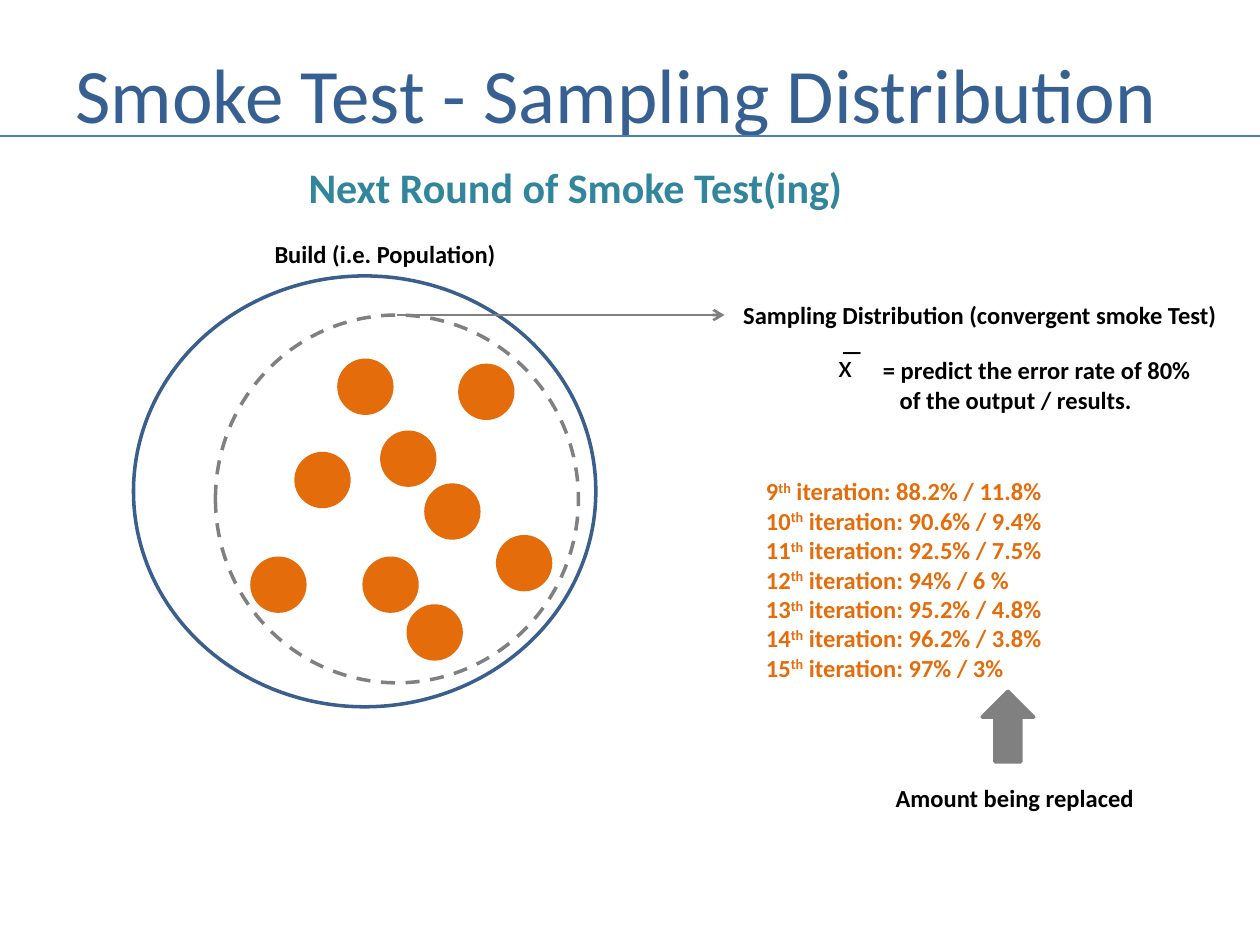
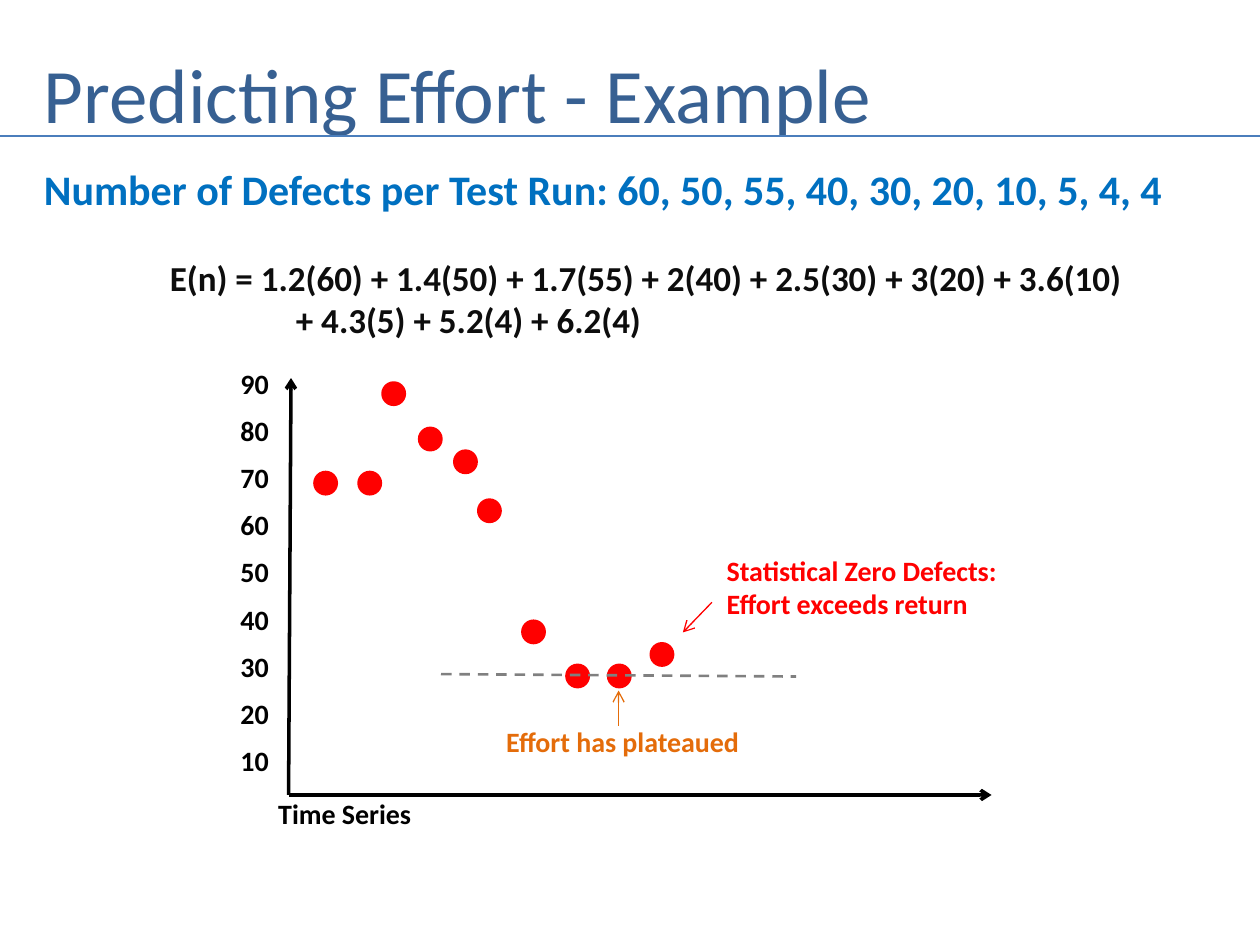
"""Build two slides on smoke test sampling and effort prediction."""
from dataclasses import dataclass
from typing import Optional

from lxml.etree import SubElement
from pptx import Presentation
from pptx.dml.color import RGBColor
from pptx.enum.dml import MSO_LINE
from pptx.enum.shapes import MSO_CONNECTOR, MSO_SHAPE
from pptx.enum.text import MSO_ANCHOR, MSO_AUTO_SIZE
from pptx.oxml.ns import qn
from pptx.slide import Slide
from pptx.util import Pt

COLORS = {
    "title": "376092", "rule": "4B7EBC", "build": "3A5F8C", "teal": "31859C",
    "blue": "0070C0", "orange": "E46C0A", "red": "FF0000", "gray": "808080",
    "black": "000000", "ink": "0D0D0D",
}
FONT = "Calibri"


@dataclass(frozen=True)
class Para:
    text: str
    size: float = 14
    color: str = "black"
    bold: bool = True
    indent: float = 0
    before: float = 0


@dataclass(frozen=True)
class Label:
    left: float
    top: float
    width: float
    height: float
    paras: tuple[Para, ...]
    wrap: bool = False
    middle: bool = False


@dataclass(frozen=True)
class Form:
    left: float
    top: float
    width: float
    height: float
    line: str
    fill: Optional[str] = None
    dashed: bool = False
    kind: MSO_SHAPE = MSO_SHAPE.OVAL


@dataclass(frozen=True)
class Line:
    x1: float
    y1: float
    x2: float
    y2: float
    color: str
    width: float = 1.5
    arrow: bool = False
    dashed: bool = False


def rgb(name: str) -> RGBColor:
    return RGBColor.from_string(COLORS[name])


def draw_label(s: Slide, label: Label) -> None:
    sp = s.shapes.add_textbox(Pt(label.left), Pt(label.top), Pt(label.width), Pt(label.height))
    tf = sp.text_frame
    tf.word_wrap = label.wrap
    tf.auto_size = MSO_AUTO_SIZE.NONE if label.middle else MSO_AUTO_SIZE.SHAPE_TO_FIT_TEXT
    tf.vertical_anchor = MSO_ANCHOR.MIDDLE if label.middle else MSO_ANCHOR.TOP
    for i, para in enumerate(label.paras):
        p = tf.add_paragraph() if i else tf.paragraphs[0]
        if para.indent:
            p._p.get_or_add_pPr().set("marL", str(Pt(para.indent)))
        if para.before:
            p.space_before = Pt(para.before)
        p.font.name, p.font.size, p.font.bold = FONT, Pt(para.size), para.bold
        p.font.color.rgb = rgb(para.color)
        for j, part in enumerate(para.text.split("|")):
            r = p.add_run()
            r.text = part
            if j % 2:
                r._r.get_or_add_rPr().set("baseline", "30000")


def draw_form(s: Slide, form: Form) -> None:
    sp = s.shapes.add_shape(form.kind, Pt(form.left), Pt(form.top), Pt(form.width), Pt(form.height))
    sp.shadow.inherit = False
    sp.line.color.rgb = rgb(form.line)
    sp.line.width = Pt(2)
    if form.dashed:
        sp.line.dash_style = MSO_LINE.DASH
    if form.fill:
        sp.fill.solid()
        sp.fill.fore_color.rgb = rgb(form.fill)
    else:
        sp.fill.background()


def draw_line(s: Slide, line: Line) -> None:
    c = s.shapes.add_connector(MSO_CONNECTOR.STRAIGHT, Pt(line.x1), Pt(line.y1), Pt(line.x2), Pt(line.y2))
    c.line.color.rgb = rgb(line.color)
    c.line.width = Pt(line.width)
    if line.dashed:
        c.line.dash_style = MSO_LINE.DASH
    spPr = c._element.spPr
    if line.arrow:
        SubElement(spPr.find(qn("a:ln")), qn("a:tailEnd"), type="arrow")
    SubElement(spPr, qn("a:effectLst"))


def draw_dots(s: Slide, spots: list[tuple[float, float]], size: float, color: str) -> None:
    for left, top in spots:
        draw_form(s, Form(left, top, size, size, color, color))


def add_slide(prs: Presentation, title: str, left: float, width: float) -> Slide:
    s = prs.slides.add_slide(prs.slide_layouts[6])
    draw_label(s, Label(left, 21.6, width, 62.6, (Para(title, 44, "title", False),), True, True))
    draw_line(s, Line(0, 77.8, 720, 77.8, "rule"))
    return s


def add_sampling_slide(prs: Presentation) -> None:
    s = add_slide(prs, "Smoke Test - Sampling Distribution", 36, 653.8)
    draw_form(s, Form(76.3, 157.7, 264.2, 246.2, "build"))
    draw_form(s, Form(123.1, 180, 207.4, 210.2, "gray", dashed=True))
    draw_line(s, Line(226.8, 180, 414, 180, "gray", arrow=True))
    samples = [
        (218.2, 247), (243.4, 277.2), (233.3, 346.3), (284.4, 306.7), (208.1, 319),
        (262.8, 208.8), (193.7, 205.9), (169.2, 259.2), (144, 319),
    ]
    draw_dots(s, samples, 30.2, "orange")
    rates = ["88.2% / 11.8%", "90.6% / 9.4%", "92.5% / 7.5%", "94% / 6 %",
             "95.2% / 4.8%", "96.2% / 3.8%", "97% / 3%"]
    iterations = tuple(Para(f"{n}|th| iteration: {rate}", color="orange")
                       for n, rate in enumerate(rates, 9))
    prediction = (Para("= predict the error rate of 80%"),
                  Para("of the output / results.", indent=9.5))
    for label in (
        Label(169.2, 88.6, 322.6, 36, (Para("Next Round of Smoke Test(ing)", 24, "teal"),)),
        Label(149.8, 133.2, 141.8, 24.5, (Para("Build (i.e. Population)"),)),
        Label(417.6, 167.8, 287.3, 24.5, (Para("Sampling Distribution (convergent smoke Test)"),)),
        Label(468, 194.4, 26.6, 28.8, (Para("x̅", 18, bold=False, indent=4),)),
        Label(497.5, 199.4, 191.5, 41, prediction),
        Label(430.6, 268.6, 175, 126, iterations),
        Label(504.7, 444.2, 151.2, 24.5, (Para("Amount being replaced"),)),
    ):
        draw_label(s, label)
    draw_form(s, Form(561.2, 395, 29.5, 40.3, "gray", "gray", kind=MSO_SHAPE.UP_ARROW))


def add_effort_slide(prs: Presentation) -> None:
    s = add_slide(prs, "Predicting Effort - Example", 18, 671.8)
    formula = (
        Para("Number of Defects per Test Run: 60, 50, 55, 40, 30, 20, 10, 5, 4, 4", 24, "blue"),
        Para("E(n) = 1.2(60) + 1.4(50) + 1.7(55) + 2(40) + 2.5(30) + 3(20) + 3.6(10)",
             20, "ink", indent=72, before=24.4),
        Para("+ 4.3(5) + 5.2(4) + 6.2(4)", 20, "ink", indent=144),
    )
    draw_label(s, Label(18, 90, 678.2, 108.7, formula, True))
    for x, y in ((166.3, 216), (566.6, 454.3)):
        draw_line(s, Line(164.9, 454.3, x, y, "black", 2, True))
    for i in range(9):
        tick = (Para(str(10 * (i + 1)), 16),)
        draw_label(s, Label(130.3, 421.2 - 26.9 * i, 34.6, 26.6, tick, True))
    efforts = [
        (180, 270), (205.2, 270), (218.9, 218.9), (239.8, 244.8), (259.9, 257.8),
        (273.6, 285.8), (298.8, 355), (324, 380.2), (347.8, 380.2), (372.2, 367.9),
    ]
    draw_dots(s, efforts, 12.2, "red")
    zero_defects = tuple(Para(text, 16, "red")
                         for text in ("Statistical Zero Defects:", "Effort exceeds return"))
    for label in (
        Label(151.9, 451.4, 113.8, 26.6, (Para("Time Series", 16),), True),
        Label(282.2, 410.4, 149.8, 26.6, (Para("Effort has plateaued", 16, "orange"),)),
        Label(408.2, 312.5, 170.6, 46, zero_defects),
    ):
        draw_label(s, label)
    for line in (
        Line(252, 385.2, 455, 386.6, "gray", dashed=True),
        Line(353.5, 414.7, 353.5, 394.6, "orange", 0.75, True),
        Line(406.8, 344.2, 390.2, 361.4, "red", 0.75, True),
    ):
        draw_line(s, line)


def main() -> None:
    prs = Presentation()
    prs.slide_width, prs.slide_height = Pt(720), Pt(540)
    add_sampling_slide(prs)
    add_effort_slide(prs)
    prs.save("out.pptx")


if __name__ == "__main__":
    main()
